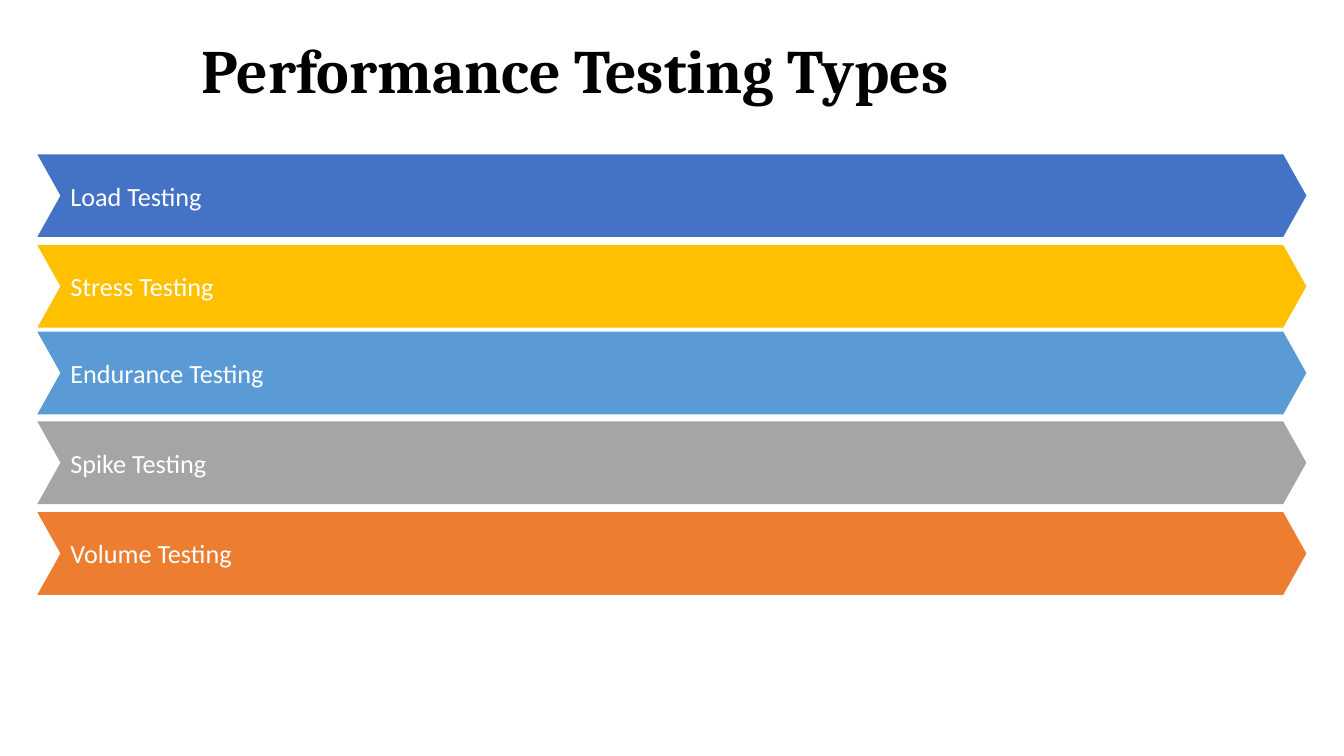
from pptx import Presentation
from pptx.dml.color import RGBColor
from pptx.enum.shapes import MSO_SHAPE as Shape
from pptx.enum.text import MSO_ANCHOR as Anchor, PP_ALIGN as Align
from pptx.util import Pt

COLORS = {
    "black": "000000", "white": "FFFFFF", "blue": "4472C4", "gold": "FFC000",
    "sky": "5B9BD5", "gray": "A5A5A5", "orange": "ED7D31",
}
TITLE = "Performance Testing Types"
TESTING_TYPES = [  # label, color, top
    ("Load Testing", "blue", 110.2),
    ("Stress Testing", "gold", 175),
    ("Endurance Testing", "sky", 236.9),
    ("Spike Testing", "gray", 301),
    ("Volume Testing", "orange", 365.8),
]
BAR_LEFT, BAR_WIDTH, BAR_HEIGHT = 26.64, 906.5, 59.04
BAR_POINT = 0.28  # chevron depth as a share of the bar height


def rgb(name):
    return RGBColor.from_string(COLORS[name])


def write(frame, text, font_name, size, color, anchor, insets, bold=False):
    frame.word_wrap = True
    frame.vertical_anchor = anchor
    (frame.margin_left, frame.margin_top,
     frame.margin_right, frame.margin_bottom) = map(Pt, insets)
    para = frame.paragraphs[0]
    para.text = text
    para.alignment = Align.LEFT
    font = para.font
    font.name, font.size, font.bold = font_name, Pt(size), bold
    font.color.rgb = rgb(color)
    return para


def add_title(page):
    title = page.shapes.title
    title.left, title.top, title.width, title.height = map(
        Pt, (134.64, 20.16, 690.5, 123.1))
    para = write(title.text_frame, TITLE, "Cambria", 44, "black",
                 Anchor.TOP, (9.36, 5.04, 9.36, 5.04), bold=True)
    para.line_spacing = 0.99


def add_bar(page, label, color, top):
    bar = page.shapes.add_shape(
        Shape.CHEVRON, Pt(BAR_LEFT), Pt(top), Pt(BAR_WIDTH), Pt(BAR_HEIGHT))
    bar.adjustments[0] = BAR_POINT
    bar.shadow.inherit = False
    bar.fill.solid()
    bar.fill.fore_color.rgb = rgb(color)
    bar.line.fill.background()
    write(bar.text_frame, label, "Calibri", 18.7, "white",
          Anchor.MIDDLE, (7.2, 3.6, 3.6, 3.6))


def main():
    deck = Presentation()
    deck.slide_width, deck.slide_height = Pt(960), Pt(540)
    page = deck.slides.add_slide(deck.slide_layouts[5])
    add_title(page)
    for label, color, top in TESTING_TYPES:
        add_bar(page, label, color, top)
    deck.save("out.pptx")


if __name__ == "__main__":
    main()
